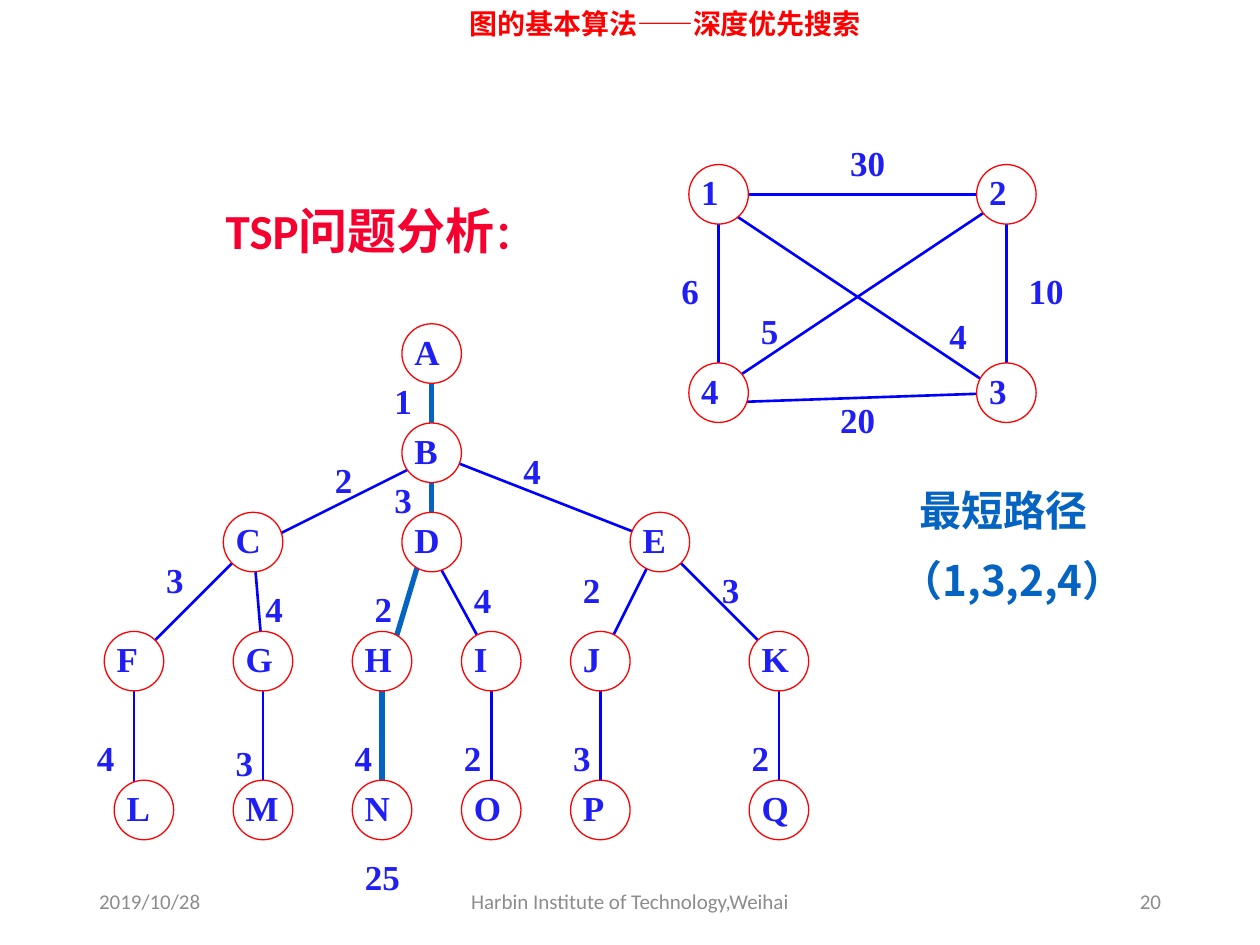
from dataclasses import dataclass
from typing import NamedTuple

from lxml import etree
from pptx import Presentation
from pptx.dml.color import RGBColor
from pptx.enum.shapes import MSO_CONNECTOR, MSO_SHAPE
from pptx.enum.text import MSO_ANCHOR, PP_ALIGN
from pptx.oxml.ns import qn
from pptx.util import Pt

STRAIGHT = MSO_CONNECTOR.STRAIGHT
OVAL = MSO_SHAPE.OVAL
LEFT, CENTER, RIGHT = PP_ALIGN.LEFT, PP_ALIGN.CENTER, PP_ALIGN.RIGHT
TOP, MIDDLE = MSO_ANCHOR.TOP, MSO_ANCHOR.MIDDLE


@dataclass(frozen=True)
class Theme:
    white: str = "FFFFFF"
    outline: str = "FF0000"
    edge: str = "0000FF"
    accent: str = "0563C1"
    label: str = "1F1FF5"
    heading: str = "F6002F"
    muted: str = "8C8C8C"
    serif: str = "Times New Roman"
    sans: str = "Calibri"
    chinese: str = "Noto Sans CJK SC"
    label_size: float = 20
    heading_size: float = 28
    colon_size: float = 22
    answer_size: float = 24
    header_size: float = 16
    footer_size: float = 12
    thin: float = 0.75
    medium: float = 1.5
    thick: float = 3


THEME = Theme()
GRID = 5.67
NODE_SPAN = 6
LABEL_HEIGHT = 31


class Run(NamedTuple):
    text: str
    size: float
    color: str
    font: str
    bold: bool = True


class Box(NamedTuple):
    left: float
    top: float
    width: float
    height: float


class Node(NamedTuple):
    name: str
    column: float
    row: float


class Edge(NamedTuple):
    start: tuple[float, float]
    end: tuple[float, float]
    on_path: bool = False


class Weight(NamedTuple):
    text: str
    column: float
    row: float
    span: float = NODE_SPAN


class Diagram(NamedTuple):
    left: float
    top: float
    edges: list[Edge]
    nodes: list[Node]
    weights: list[Weight]


TREE = Diagram(
    48.24, 185.04,
    [
        Edge((35, 23), (41, 34)), Edge((34, 23), (31, 33), True),
        Edge((35, 15), (35, 22), True), Edge((35, 5), (35, 14), True),
        Edge((34, 14), (18, 22)), Edge((17, 22), (5, 34)),
        Edge((58, 22), (35, 13)), Edge((70, 34), (58, 22)),
        Edge((18, 34), (17, 22)), Edge((58, 22), (52, 34)),
        *(Edge((x, 34), (x, 49), x == 30) for x in (5, 18, 30, 41, 52, 70)),
    ],
    [
        Node("A", 32, 0), Node("B", 32, 10),
        *(Node(name, x, 19) for name, x in zip("CDE", (14, 32, 55))),
        *(Node(name, x, 31) for name, x in zip("FGHIJK", (2, 15, 27, 38, 49, 67))),
        *(Node(name, x, 46) for name, x in zip("LMNOPQ", (3, 15, 27, 38, 49, 67))),
    ],
    [
        Weight("1", 30, 5), Weight("2", 24, 13), Weight("3", 30, 15, 3),
        Weight("4", 43, 12, 5), Weight("3", 7, 23, 4), Weight("4", 17, 26, 4),
        Weight("2", 28, 26, 4), Weight("4", 38, 25, 4), Weight("2", 49, 24),
        Weight("3", 63, 24), Weight("4", 0, 41), Weight("3", 14, 41.5),
        Weight("4", 26, 41), Weight("2", 37, 41), Weight("3", 48, 41),
        Weight("2", 66, 41, 5),
    ],
)

CITIES = Diagram(
    382.32, 77.04,
    [
        Edge((35, 27), (5, 7)), Edge((33, 7), (6, 25)),
        Edge((33, 6), (5, 6)), Edge((34, 26), (5, 27)),
        Edge((5, 7), (5, 26)), Edge((34, 24), (34, 5)),
    ],
    [Node("1", 2, 3), Node("2", 31, 3), Node("3", 31, 23), Node("4", 2, 23)],
    [
        Weight("30", 17, 0, 9), Weight("6", 0, 13), Weight("10", 35, 13, 7),
        Weight("5", 8, 17, 7), Weight("4", 27, 17.5), Weight("20", 16, 26, 9),
    ],
)


def add_text(shapes, box: Box, runs: list[Run], align=LEFT, anchor=TOP):
    """Add a wrapped one-paragraph text box and return it."""
    shape = shapes.add_textbox(*map(Pt, box))
    frame = shape.text_frame
    frame.word_wrap = True
    frame.vertical_anchor = anchor
    paragraph = frame.paragraphs[0]
    paragraph.alignment = align
    for item in runs:
        run = paragraph.add_run()
        run.text = item.text
        run.font.size = Pt(item.size)
        run.font.bold = item.bold
        run.font.name = item.font
        run.font.color.rgb = RGBColor.from_string(item.color)
        properties = run.font._element
        etree.SubElement(properties, qn("a:ea")).set("typeface", THEME.chinese)
    return shape


def label_run(text: str) -> Run:
    """Return a run in the style of node names and weights."""
    return Run(text, THEME.label_size, THEME.label, THEME.serif)


def draw_diagram(slide, diagram: Diagram) -> None:
    """Draw the edges, nodes and weights of a diagram as one group."""
    shapes = slide.shapes.add_group_shape().shapes

    def place(column: float, row: float) -> tuple[float, float]:
        """Turn grid units into points on the slide."""
        return diagram.left + column * GRID, diagram.top + row * GRID

    for edge in diagram.edges:
        ends = place(*edge.start) + place(*edge.end)
        line = shapes.add_connector(STRAIGHT, *map(Pt, ends))
        line.line.width = Pt(THEME.thick if edge.on_path else THEME.medium)
        color = THEME.accent if edge.on_path else THEME.edge
        line.line.color.rgb = RGBColor.from_string(color)
        etree.SubElement(line._element.spPr, qn("a:effectLst"))
    diameter = NODE_SPAN * GRID
    for node in diagram.nodes:
        corner = place(node.column, node.row)
        circle = shapes.add_shape(OVAL, *map(Pt, (*corner, diameter, diameter)))
        circle.shadow.inherit = False
        circle.fill.solid()
        circle.fill.fore_color.rgb = RGBColor.from_string(THEME.white)
        circle.line.color.rgb = RGBColor.from_string(THEME.outline)
        circle.line.width = Pt(THEME.thin)
        add_text(shapes, Box(*corner, diameter, LABEL_HEIGHT), [label_run(node.name)])
    for weight in diagram.weights:
        box = Box(*place(weight.column, weight.row), weight.span * GRID, LABEL_HEIGHT)
        add_text(shapes, box, [label_run(weight.text)])


def main() -> None:
    """Build the slide and save it."""
    presentation = Presentation()
    presentation.slide_width, presentation.slide_height = Pt(720), Pt(540)
    slide = presentation.slides.add_slide(presentation.slide_layouts[6])
    shapes = slide.shapes

    draw_diagram(slide, TREE)
    cost = add_text(shapes, Box(190, 485.5, 57, LABEL_HEIGHT), [label_run("25")], CENTER)
    cost.fill.solid()
    cost.fill.fore_color.rgb = RGBColor.from_string(THEME.white)
    draw_diagram(slide, CITIES)

    for text, box in (
        ("最短路径", Box(518.4, 273.6, 118.8, 36)),
        ("（1,3,2,4）", Box(507.6, 313.2, 158.4, 36)),
    ):
        add_text(shapes, box, [Run(text, THEME.answer_size, THEME.accent, THEME.chinese)])

    heading = add_text(shapes, Box(99.4, 105.8, 226.8, 45.4), [
        Run("TSP问题分析", THEME.heading_size, THEME.heading, THEME.sans),
        Run("：", THEME.colon_size, THEME.heading, THEME.sans),
    ])
    heading.text_frame.margin_left = Pt(29.5)
    heading.text_frame.margin_top = Pt(15.1)
    heading.text_frame.paragraphs[0].line_spacing = 0.8

    add_text(shapes, Box(110.9, 0, 538.6, 39.6), [
        Run("图的基本算法——深度优先搜索", THEME.header_size, THEME.outline, THEME.chinese),
    ], CENTER)

    for text, left, width, align in (
        ("2019/10/28", 49.5, 162, LEFT),
        ("Harbin Institute of Technology,Weihai", 238.5, 243, CENTER),
        ("20", 508.5, 162, RIGHT),
    ):
        run = Run(text, THEME.footer_size, THEME.muted, THEME.sans, False)
        add_text(shapes, Box(left, 500.5, width, 28.8), [run], align, MIDDLE)

    presentation.save("out.pptx")


if __name__ == "__main__":
    main()
